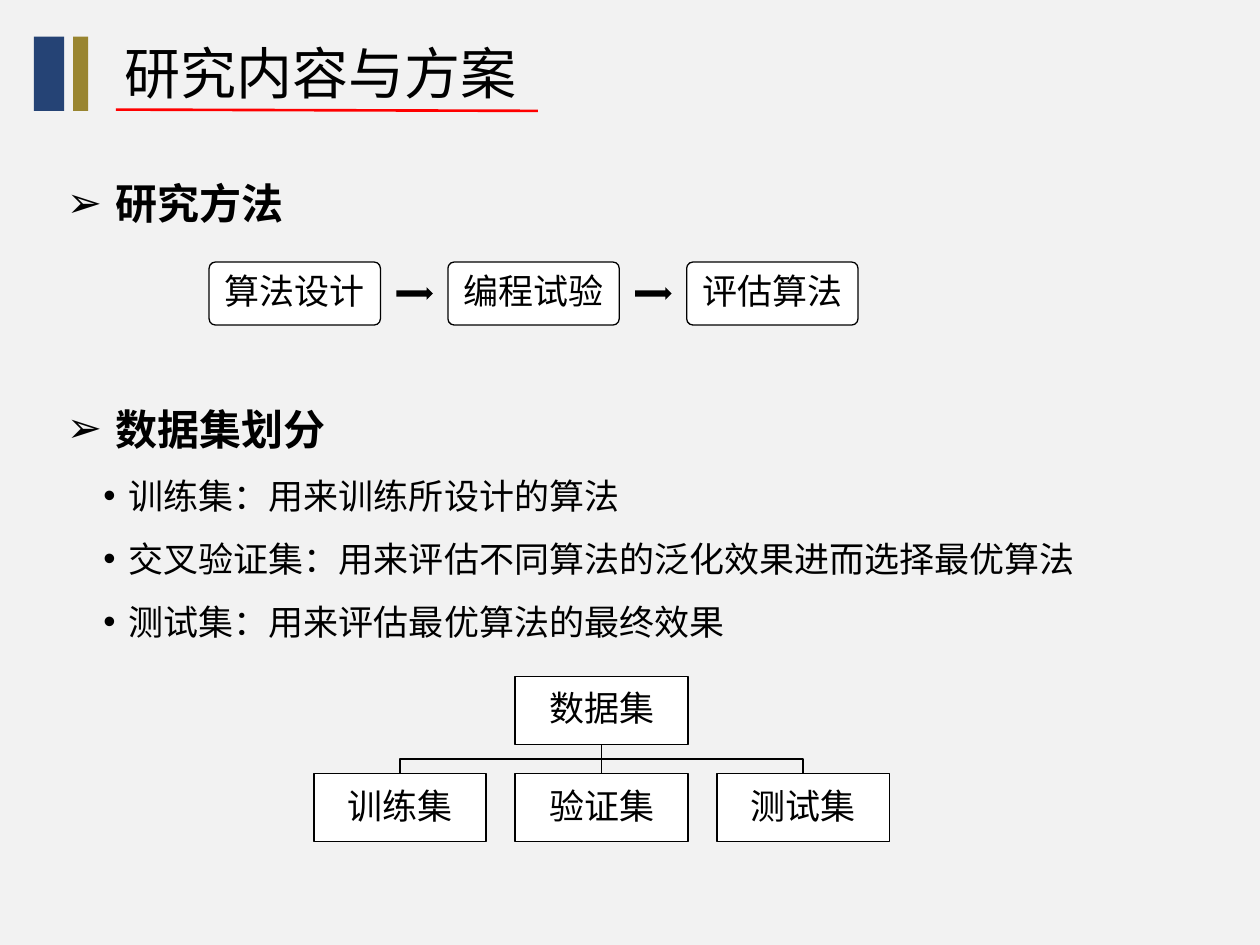
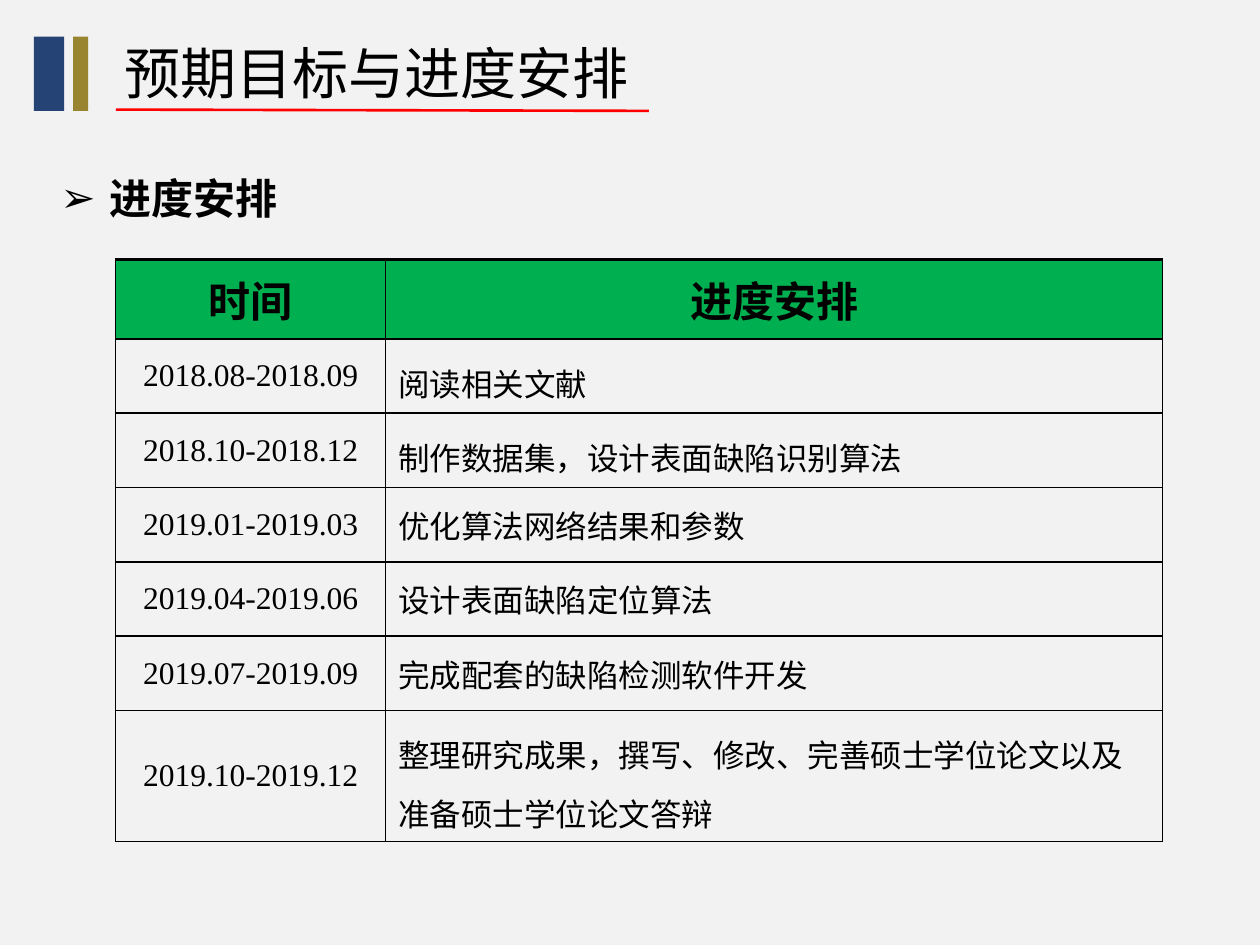
from lxml.etree import SubElement
from pptx import Presentation
from pptx.dml.color import RGBColor
from pptx.enum.shapes import MSO_CONNECTOR as CONNECTOR, MSO_SHAPE as SHAPE
from pptx.enum.text import MSO_ANCHOR as ANCHOR, MSO_AUTO_SIZE as AUTO_SIZE, PP_ALIGN as ALIGN
from pptx.oxml.ns import qn
from pptx.util import Inches, Pt

BLACK = RGBColor(0x00, 0x00, 0x00)
WHITE = RGBColor(0xFF, 0xFF, 0xFF)
BACKGROUND = RGBColor(0xF2, 0xF2, 0xF2)
NAVY = RGBColor(0x25, 0x43, 0x75)
GOLD = RGBColor(0x99, 0x85, 0x30)
RED = RGBColor(0xFF, 0x00, 0x00)
GREEN = RGBColor(0x00, 0xB0, 0x50)

CJK = "Noto Sans CJK SC"
LATIN = "Calibri"
HEADING = dict(size=24, bold=True, bullet="➢", margin=0.39, hanging=0.39, spacing=1.5)
ITEM = dict(size=20, bullet="•", margin=0.49, hanging=0.2, spacing=1.5)

STEPS = ["算法设计", "编程试验", "评估算法"]
SUBSETS = ["训练集", "验证集", "测试集"]
SPLIT_ITEMS = [
    "训练集：用来训练所设计的算法",
    "交叉验证集：用来评估不同算法的泛化效果进而选择最优算法",
    "测试集：用来评估最优算法的最终效果",
]
SCHEDULE = [
    ("2018.08-2018.09", "阅读相关文献", 1.3),
    ("2018.10-2018.12", "制作数据集，设计表面缺陷识别算法", 1.3),
    ("2019.01-2019.03", "优化算法网络结果和参数", 1),
    ("2019.04-2019.06", "设计表面缺陷定位算法", 1),
    ("2019.07-2019.09", "完成配套的缺陷检测软件开发", 1),
    ("2019.10-2019.12", "整理研究成果，撰写、修改、完善硕士学位论文以及准备硕士学位论文答辩", 1.3),
]


def write(paragraph, text, size=20, font=LATIN, east=LATIN, bold=False,
          align=ALIGN.LEFT, spacing=1, bullet=None, margin=0, hanging=0):
    properties = paragraph._p.get_or_add_pPr()
    if bullet:
        properties.set("marL", str(Inches(margin)))
        properties.set("indent", str(-Inches(hanging)))
        SubElement(properties, qn("a:buFont"), typeface="Arial")
        SubElement(properties, qn("a:buChar"), char=bullet)
    paragraph.alignment = align
    paragraph.line_spacing = spacing
    paragraph.space_before = Pt(0)
    run = paragraph.add_run()
    run.text = text
    run.font.size = Pt(size)
    run.font.bold = bold
    run.font.color.rgb = BLACK
    run.font.name = font
    SubElement(run._r.get_or_add_rPr(), qn("a:ea"), typeface=east)


def place(shape, left, top, width, height):
    shape.left, shape.top = Inches(left), Inches(top)
    shape.width, shape.height = Inches(width), Inches(height)


def set_insets(frame, inset):
    frame.margin_left = frame.margin_right = Inches(inset)
    frame.margin_top = frame.margin_bottom = Inches(inset)


def add_block(slide, kind, left, top, width, height, fill, line_width=0):
    shape = slide.shapes.add_shape(kind, Inches(left), Inches(top), Inches(width), Inches(height))
    shape.shadow.inherit = False
    shape.fill.solid()
    shape.fill.fore_color.rgb = fill
    if line_width:
        shape.line.color.rgb = BLACK
        shape.line.width = Pt(line_width)
    else:
        shape.line.fill.background()
    return shape


def add_node(slide, kind, text, left, top, width, height, line_width, inset):
    node = add_block(slide, kind, left, top, width, height, WHITE, line_width)
    frame = node.text_frame
    set_insets(frame, inset)
    frame.word_wrap = True
    frame.vertical_anchor = ANCHOR.MIDDLE
    write(frame.paragraphs[0], text, align=ALIGN.CENTER, spacing=0.9)
    return node


def add_line(slide, start, end, color, width):
    connector = slide.shapes.add_connector(CONNECTOR.STRAIGHT, *map(Inches, start + end))
    connector.line.color.rgb = color
    connector.line.width = Pt(width)
    SubElement(connector._element.spPr, qn("a:effectLst"))
    return connector


def add_header(slide, text, width):
    add_block(slide, SHAPE.RECTANGLE, 0.27, 0.29, 0.24, 0.59, NAVY)
    add_block(slide, SHAPE.RECTANGLE, 0.58, 0.29, 0.12, 0.59, GOLD)
    title = slide.shapes.title
    place(title, 0.79, 0.25, width, 0.64)
    frame = title.text_frame
    frame.auto_size = AUTO_SIZE.NONE
    frame.vertical_anchor = ANCHOR.MIDDLE
    frame.margin_left, frame.margin_right = Inches(0.2), 0
    write(frame.paragraphs[0], text, size=32, font=CJK, east=CJK)
    add_line(slide, (0.92, 0.87), (0.79 + width, 0.88), RED, 1.5)


def fill_list(placeholder, box, heading, items=(), font=LATIN):
    place(placeholder, *box)
    frame = placeholder.text_frame
    frame.auto_size = AUTO_SIZE.NONE
    write(frame.paragraphs[0], heading, font=font, **HEADING)
    for item in items:
        write(frame.add_paragraph(), item, font=font, **ITEM)


def add_step_flow(slide, left, top):
    step_width, pitch = 1.36, 1.895
    for index, step in enumerate(STEPS):
        x = left + index * pitch
        node = add_node(slide, SHAPE.ROUNDED_RECTANGLE, step, x, top, step_width, 0.5, 0.75, 0.08)
        node.adjustments[0] = 0.1
        if index:
            add_block(slide, SHAPE.RIGHT_ARROW, x - 0.41, top + 0.2, 0.29, 0.1, BLACK)


def add_dataset_tree(slide, left, top):
    width, height, pitch, drop = 1.37, 0.54, 1.6, 0.77
    add_tree_node = lambda text, column, y: add_node(
        slide, SHAPE.RECTANGLE, text, left + column * pitch, y, width, height, 1, 0.01)
    root = add_tree_node("数据集", 1, top)
    leaves = [add_tree_node(text, column, top + drop) for column, text in enumerate(SUBSETS)]

    stem = add_line(slide, (0, 0), (1, 1), BLACK, 1)
    stem.begin_connect(root, 2)
    stem.end_connect(leaves[1], 0)

    first, last = left + width / 2, left + width / 2 + 2 * pitch
    leaf_top, bar = top + drop, top + (height + drop) / 2
    builder = slide.shapes.build_freeform(Inches(first), Inches(leaf_top))
    corners = [(first, bar), (last, bar), (last, leaf_top)]
    builder.add_line_segments([(Inches(x), Inches(y)) for x, y in corners], close=False)
    bracket = builder.convert_to_shape()
    bracket.shadow.inherit = False
    bracket.fill.background()
    bracket.line.color.rgb = BLACK
    bracket.line.width = Pt(1)


def set_borders(cell, left, right, top, bottom):
    properties = cell._tc.get_or_add_tcPr()
    for tag, width in zip(("a:lnL", "a:lnR", "a:lnT", "a:lnB"), (left, right, top, bottom)):
        line = SubElement(properties, qn(tag), w=str(Pt(width)))
        SubElement(SubElement(line, qn("a:solidFill")), qn("a:srgbClr"), val=str(BLACK))


def add_schedule(slide, left, top):
    widths = (2.14, 6.17)
    heights = [0.63] + [0.59] * 5 + [1.04]
    table = slide.shapes.add_table(
        len(heights), len(widths), Inches(left), Inches(top),
        Inches(sum(widths)), Inches(sum(heights))).table
    table.horz_banding = False
    for column, width in zip(table.columns, widths):
        column.width = Inches(width)
    for row, height in zip(table.rows, heights):
        row.height = Inches(height)

    for row_index, (period, task, spacing) in enumerate([("时间", "进度安排", 1)] + SCHEDULE):
        is_header = row_index == 0
        period_cell, task_cell = table.rows[row_index].cells
        top_width = 2 if is_header else 1
        set_borders(period_cell, 0.75, 1, top_width, 1)
        set_borders(task_cell, 1, 0.75, top_width, 1)
        for cell in (period_cell, task_cell):
            cell.vertical_anchor = ANCHOR.MIDDLE
            if is_header:
                cell.fill.solid()
                cell.fill.fore_color.rgb = GREEN
            else:
                cell.fill.background()
        size = 24 if is_header else 18
        write(period_cell.text_frame.paragraphs[0], period, size=size, east=CJK, bold=is_header,
              font="Arial" if is_header else "Times New Roman", align=ALIGN.CENTER)
        write(task_cell.text_frame.paragraphs[0], task, size=size, east=CJK, bold=is_header,
              font="Arial", align=ALIGN.CENTER if is_header else ALIGN.LEFT, spacing=spacing)


def build_method_slide(presentation):
    slide = presentation.slides.add_slide(presentation.slide_layouts.get_by_name("Two Content"))
    add_header(slide, "研究内容与方案", 3.48)
    fill_list(slide.placeholders[1], (0.43, 1.16, 6.39, 0.71), "研究方法")
    add_step_flow(slide, 1.66, 2.08)
    fill_list(slide.placeholders[2], (0.43, 2.95, 8.7, 2.22), "数据集划分", SPLIT_ITEMS)
    add_dataset_tree(slide, 2.49, 5.37)


def build_schedule_slide(presentation):
    slide = presentation.slides.add_slide(presentation.slide_layouts.get_by_name("Title and Content"))
    add_header(slide, "预期目标与进度安排", 4.36)
    fill_list(slide.placeholders[1], (0.38, 1.12, 2.2, 0.61), "进度安排", font="Arial")
    add_schedule(slide, 0.92, 2.06)


def main():
    presentation = Presentation()
    presentation.slide_width, presentation.slide_height = Inches(10), Inches(7.5)
    fill = presentation.slide_master.background.fill
    fill.solid()
    fill.fore_color.rgb = BACKGROUND
    build_method_slide(presentation)
    build_schedule_slide(presentation)
    presentation.save("out.pptx")


if __name__ == "__main__":
    main()
